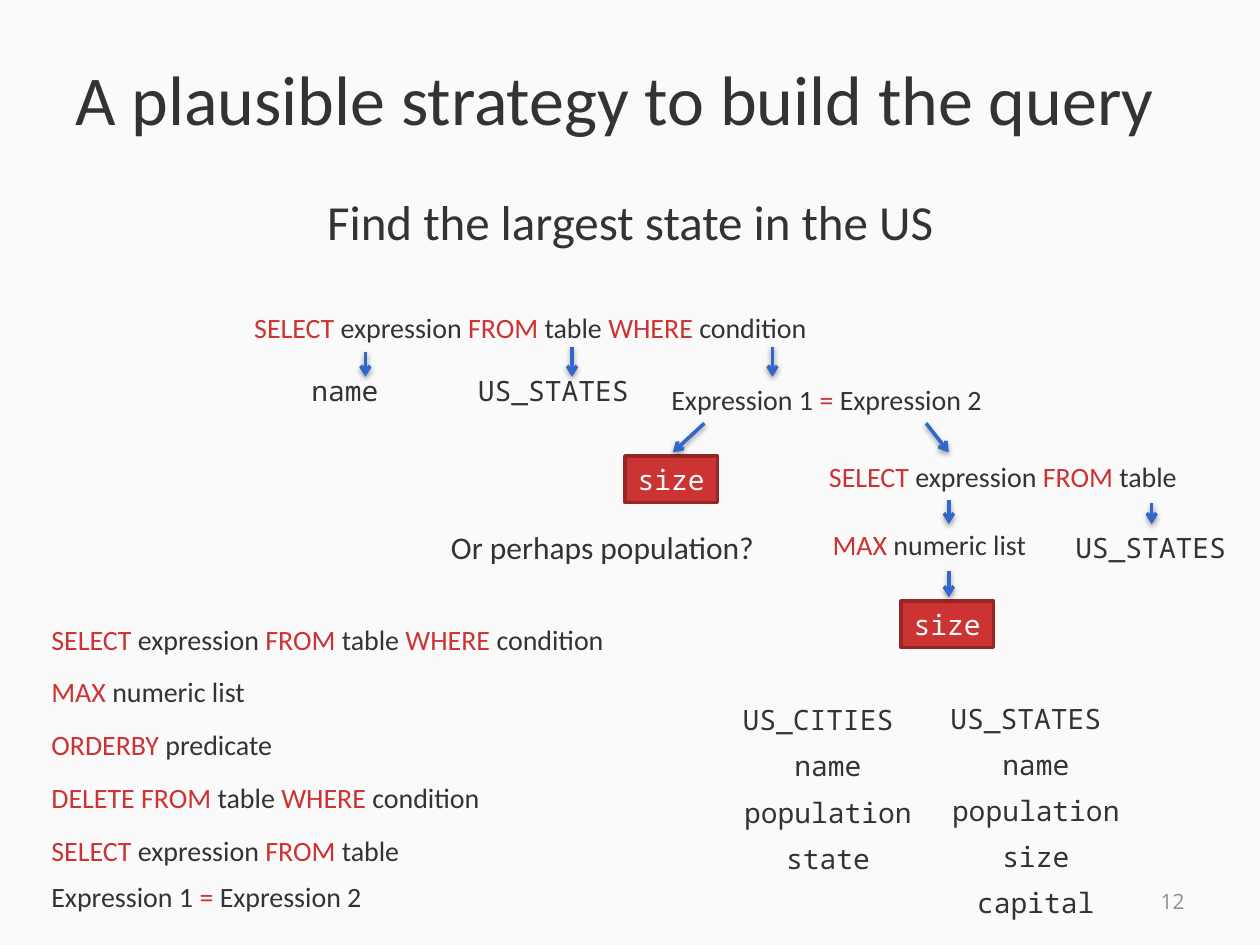
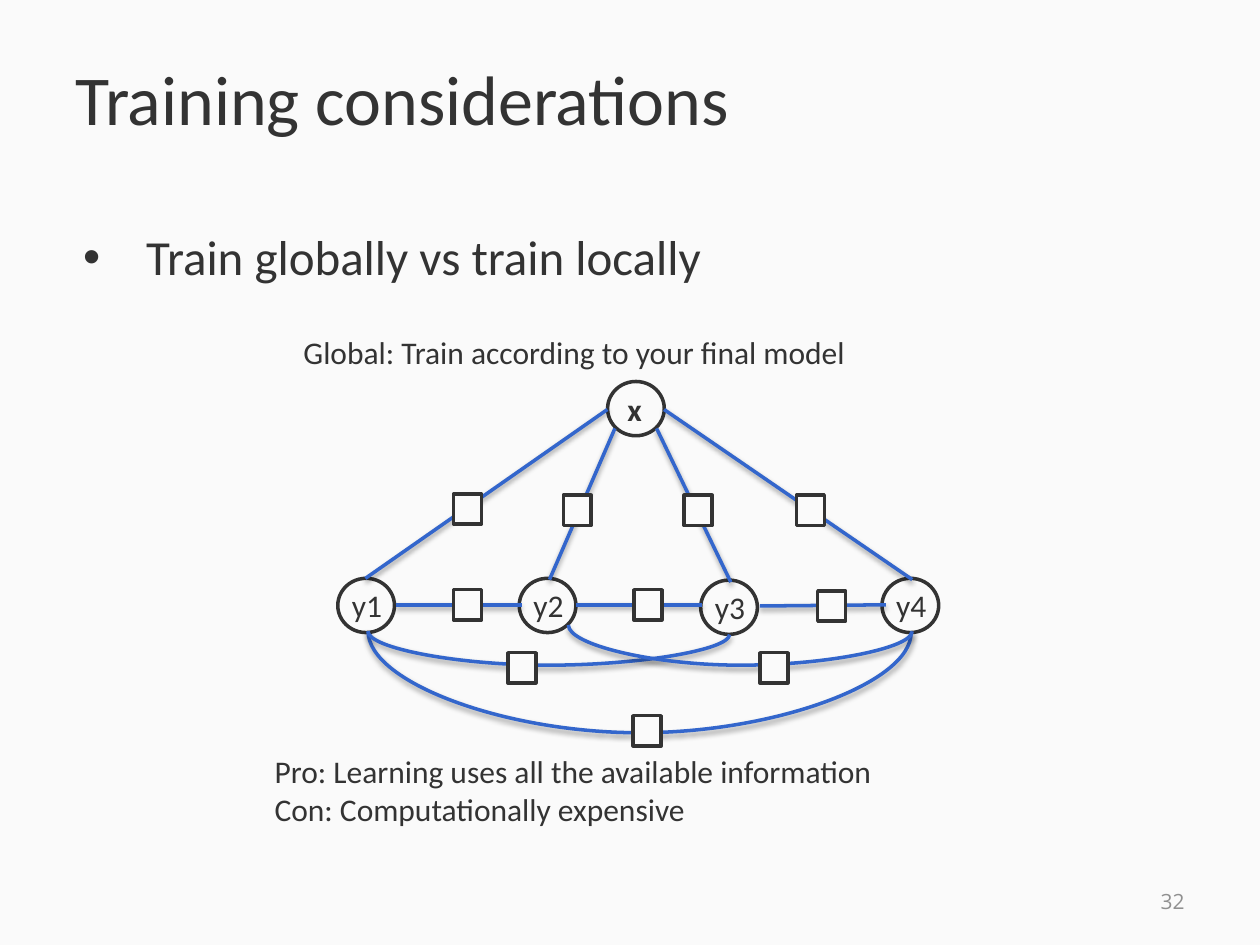
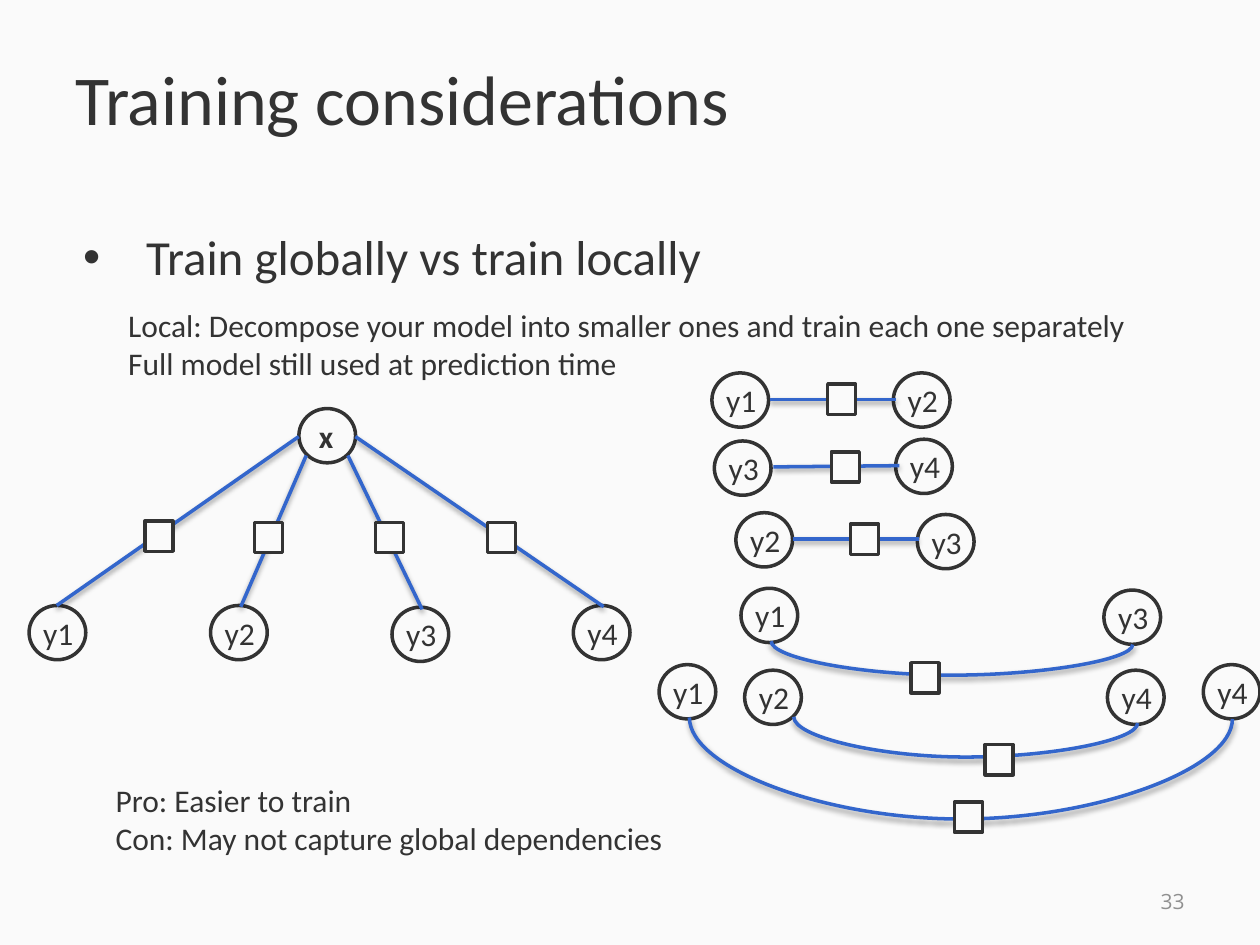
from lxml import etree
from pptx import Presentation
from pptx.dml.color import RGBColor
from pptx.enum.shapes import MSO_CONNECTOR as Connector, MSO_SHAPE as Shape
from pptx.enum.text import MSO_ANCHOR as Anchor, MSO_AUTO_SIZE as AutoSize, PP_ALIGN as Align
from pptx.oxml.ns import qn
from pptx.util import Pt

PAPER = RGBColor(0xFA, 0xFA, 0xFA)
INK = RGBColor(0x33, 0x33, 0x33)
RED = RGBColor(0xCC, 0x33, 0x33)
DARK_RED = RGBColor(0x97, 0x26, 0x26)
BLUE = RGBColor(0x33, 0x66, 0xCC)
GREY = RGBColor(0x90, 0x90, 0x90)

SANS = "Calibri"
MONO = "Noto Sans Mono"
FOOTER_FONT = "Open Sans"

SELECT_WHERE = ("SELECT", " expression ", "FROM ", "table ", "WHERE ", "condition")
SELECT_FROM = ("SELECT", " expression ", "FROM ", "table")
MAX_LIST = ("MAX ", "numeric list")
ORDER_BY = ("ORDERBY ", "predicate")
DELETE_FROM = ("DELETE FROM ", "table", " WHERE ", "condition")
EQUALITY = ("Expression 1 ", "= ", "Expression 2")

# Offsets within the model, measured from the top left of node y1.
NODES = {
    "y1": (0, 0),
    "y2": (103.7, 0),
    "y3": (207.4, 1),
    "y4": (311, 0),
    "x": (154.2, -112.5),
}
# Pair of nodes: edge start, edge end, factor square, sag of the curve (0 = straight).
FACTORS = {
    ("y1", "y2"): ((33.1, 15.3), (105.1, 15.3), (66.2, 6.5), 0),
    ("y2", "x"): ((121, 0.7), (158.4, -85.7), (128.9, -47.5), 0),
    ("y3", "x"): ((224.6, 2.2), (182.2, -85.7), (198, -47.5), 0),
    ("y4", "x"): ((328.3, 0.7), (186.5, -96.5), (262.1, -47.5), 0),
    ("y2", "y3"): ((136.1, 15.1), (208.1, 15.1), (169.2, 6.5), 0),
    ("y3", "y4"): ((241.2, 15.8), (313.2, 15.1), (274.3, 7.2), 0),
    ("y1", "x"): ((15.8, 0), (154.1, -96.5), (66.2, -48.2), 0),
    ("y1", "y4"): ((17.3, 30.2), (327.6, 31.05), (168.8, 78.5), 58),
    ("y1", "y3"): ((17.3, 30.2), (223.9, 32.1), (97.2, 42.5), 19.4),
    ("y2", "y4"): ((131.8, 26.6), (328.3, 30.2), (241.2, 42.5), 23),
}


def add_run(paragraph, text, size, color=INK, font=SANS, bold=False):
    run = paragraph.add_run()
    run.text = text
    run.font.size = Pt(size)
    run.font.name = font
    run.font.color.rgb = color
    run.font.bold = bold


def add_frame(slide, left, top, width, height, wrap=False):
    box = slide.shapes.add_textbox(Pt(left), Pt(top), Pt(width), Pt(height))
    box.text_frame.word_wrap = wrap
    box.text_frame.auto_size = AutoSize.NONE if wrap else AutoSize.SHAPE_TO_FIT_TEXT
    return box.text_frame


def add_note(slide, left, top, width, *lines, bold=False):
    frame = add_frame(slide, left, top, width, 7.2 + 21.9 * len(lines))
    for index, line in enumerate(lines):
        paragraph = frame.add_paragraph() if index else frame.paragraphs[0]
        add_run(paragraph, line, 18, bold=bold)


def add_phrase(slide, left, top, width, runs):
    """Query template: capitals and the equals sign are keywords, in red."""
    paragraph = add_frame(slide, left, top, width, 26.6).paragraphs[0]
    for text in runs:
        is_keyword = text.isupper() or text.strip() == "="
        add_run(paragraph, text, 16, RED if is_keyword else INK)


def mono_width(text):
    return 9.63 * len(text) + 14.4


def add_identifier(slide, left, top, text):
    paragraph = add_frame(slide, left, top, mono_width(text), 26.6).paragraphs[0]
    paragraph.alignment = Align.CENTER
    add_run(paragraph, text, 16, font=MONO)


def add_schema(slide, left, top, table, fields):
    add_identifier(slide, left, top, table)
    for row, field in enumerate(fields, 1):
        center = left + 56.2
        add_identifier(slide, center - mono_width(field) / 2, top + 26.3 * row, field)


def add_outlined(slide, kind, left, top, width, height, fill=PAPER, outline=INK):
    shape = slide.shapes.add_shape(kind, Pt(left), Pt(top), Pt(width), Pt(height))
    shape.shadow.inherit = False
    shape.fill.solid()
    shape.fill.fore_color.rgb = fill
    shape.line.color.rgb = outline
    shape.line.width = Pt(2)
    return shape


def add_choice(slide, left, top, text):
    choice = add_outlined(slide, Shape.RECTANGLE, left, top, mono_width(text), 26.6, RED, DARK_RED)
    frame = choice.text_frame
    frame.word_wrap = False
    frame.auto_size = AutoSize.SHAPE_TO_FIT_TEXT
    frame.vertical_anchor = Anchor.TOP
    frame.paragraphs[0].alignment = Align.CENTER
    add_run(frame.paragraphs[0], text, 16, PAPER, MONO)


def style_edge(edge):
    """Blue line with a soft shadow straight below."""
    edge.line.color.rgb = BLUE
    edge.line.width = Pt(2)
    effects = etree.SubElement(edge._element.spPr, qn("a:effectLst"))
    shadow = etree.SubElement(effects, qn("a:outerShdw"), blurRad="40000", dist="20000",
                              dir="5400000", rotWithShape="0")
    black = etree.SubElement(shadow, qn("a:srgbClr"), val="000000")
    etree.SubElement(black, qn("a:alpha"), val="38000")


def add_edge(slide, start, end):
    edge = slide.shapes.add_connector(Connector.STRAIGHT, *(Pt(v) for v in (*start, *end)))
    style_edge(edge)
    return edge


def add_arrow(slide, start, end):
    arrow = add_edge(slide, start, end)
    etree.SubElement(arrow._element.spPr.find(qn("a:ln")), qn("a:tailEnd"), type="arrow")


def add_sagging_edge(slide, start, end, sag):
    """Curve hanging below both ends: an S connector turned by 270 degrees."""
    span, drop = end[0] - start[0], end[1] - start[1]
    center_x, center_y = (start[0] + end[0]) / 2, (start[1] + end[1]) / 2
    edge = slide.shapes.add_connector(
        Connector.CURVE,
        Pt(center_x - drop / 2), Pt(center_y - span / 2),
        Pt(center_x + drop / 2), Pt(center_y + span / 2))
    properties = edge._element.spPr
    frame = properties.find(qn("a:xfrm"))
    frame.set("rot", "16200000")
    frame.set("flipH", "1")
    geometry = properties.find(qn("a:prstGeom"))
    guides = geometry.find(qn("a:avLst"))
    if guides is None:
        guides = etree.SubElement(geometry, qn("a:avLst"))
    etree.SubElement(guides, qn("a:gd"), name="adj1", fmla=f"val {round(sag / drop * 100000)}")
    style_edge(edge)


def add_node(slide, origin, name):
    left, top = shift(origin, NODES[name])
    add_outlined(slide, Shape.OVAL, left, top, 32.4, 31)
    is_input = name == "x"
    inset, width = (4.3, 23.8) if is_input else (1, 32)
    add_note(slide, left + inset, top + 1.1, width, name, bold=is_input)


def shift(origin, offset):
    return origin[0] + offset[0], origin[1] + offset[1]


def add_model(slide, origin, nodes, pairs):
    """Factor graph of the given nodes and pairs; origin is the place of y1."""
    for name in nodes:
        add_node(slide, origin, name)
    for pair in pairs:
        start, end, square, sag = FACTORS[pair]
        start, end = shift(origin, start), shift(origin, end)
        if sag:
            add_sagging_edge(slide, start, end, sag)
        else:
            add_edge(slide, start, end)
        add_outlined(slide, Shape.RECTANGLE, *shift(origin, square), 16, 17.3)


def add_page(deck, title, number):
    slide = deck.slides.add_slide(deck.slide_layouts[6])
    slide.background.fill.solid()
    slide.background.fill.fore_color.rgb = PAPER
    heading = add_frame(slide, 36, 10.8, 648, 90, wrap=True)
    heading.vertical_anchor = Anchor.MIDDLE
    add_run(heading.paragraphs[0], title, 40)
    footer = add_frame(slide, 516, 500.5, 168, 28.8, wrap=True)
    footer.vertical_anchor = Anchor.MIDDLE
    footer.paragraphs[0].alignment = Align.RIGHT
    add_run(footer.paragraphs[0], str(number), 12, GREY, FOOTER_FONT)
    return slide


def add_lead(slide, top, height, text):
    paragraph = add_frame(slide, 36, top, 648, height, wrap=True).paragraphs[0]
    paragraph.space_before = Pt(5.6)
    add_run(paragraph, text, 28)
    return paragraph


def add_training_page(deck, number):
    slide = add_page(deck, "Training considerations", number)
    paragraph = add_lead(slide, 126, 356.4, "Train globally vs train locally")
    properties = paragraph._p.get_or_add_pPr()
    properties.set("marL", str(Pt(40.5)))
    properties.set("indent", str(Pt(-36)))
    etree.SubElement(properties, qn("a:buFont"), typeface="Arial")
    etree.SubElement(properties, qn("a:buChar"), char="•")
    return slide


def build_query_page(deck):
    slide = add_page(deck, "A plausible strategy to build the query", 12)
    add_lead(slide, 105.8, 41, "Find the largest state in the US").alignment = Align.CENTER

    add_phrase(slide, 138.2, 174.2, 334.8, SELECT_WHERE)
    add_identifier(slide, 170.6, 210.2, "name")
    add_identifier(slide, 265.7, 210.2, "US_STATES")
    add_phrase(slide, 376.6, 215.3, 194.4, EQUALITY)
    add_choice(slide, 357.1, 260.6, "size")
    add_phrase(slide, 466.6, 259.2, 216.7, SELECT_FROM)
    add_phrase(slide, 468.7, 298.1, 126.7, MAX_LIST)
    add_identifier(slide, 607, 299.5, "US_STATES")
    add_choice(slide, 514.8, 343.4, "size")
    add_note(slide, 250.6, 298.1, 190, "Or perhaps population?")

    for start, end in (
        ((208.8, 200.9), (208.8, 215.3)),
        ((326.9, 198), (326.9, 215.3)),
        ((441.4, 198), (441.4, 215.3)),
        ((402.5, 241.9), (384.5, 258.5)),
        ((529.2, 241.9), (542.2, 258.5)),
        ((542.2, 285.8), (542.2, 299.5)),
        ((658.1, 287.3), (658.1, 299.5)),
        ((542.2, 326.2), (542.2, 341.3)),
    ):
        add_arrow(slide, start, end)

    templates = ((SELECT_WHERE, 334.8), (MAX_LIST, 126.7), (ORDER_BY, 143.3),
                 (DELETE_FROM, 262.8), (SELECT_FROM, 216.7))
    for row, (template, width) in enumerate(templates):
        add_phrase(slide, 22.3, 352.1 + 30.1 * row, width, template)
    add_phrase(slide, 22.3, 499, 194.4, EQUALITY)

    add_schema(slide, 416.9, 398.2, "US_CITIES", ("name", "population", "state"))
    add_schema(slide, 535.7, 397.4, "US_STATES", ("name", "population", "size", "capital"))


def build_global_page(deck):
    slide = add_training_page(deck, 32)
    add_model(slide, (193, 330.5), NODES, FACTORS)
    add_note(slide, 166.3, 186.5, 329.8, "Global: Train according to your final model")
    add_note(slide, 149.8, 426.2, 360.7,
             "Pro: Learning uses all the available information",
             "Con: Computationally expensive")


def build_local_page(deck):
    slide = add_training_page(deck, 33)
    add_note(slide, 66.2, 171.4, 591.8,
             "Local: Decompose your model into smaller ones and train each one separately",
             "Full model still used at prediction time")
    add_model(slide, (16.6, 346), NODES, [pair for pair in FACTORS if "x" in pair])
    for pair, left, top in (
        (("y1", "y2"), 406.8, 213.1),
        (("y2", "y3"), 420.5, 293),
        (("y1", "y4"), 376.6, 379.8),
        (("y3", "y4"), 408.2, 252),
        (("y2", "y4"), 425.5, 383),
        (("y1", "y3"), 423.4, 336.2),
    ):
        first_x, first_y = NODES[pair[0]]
        add_model(slide, (left - first_x, top - first_y), pair, [pair])
    add_note(slide, 59, 442.8, 331.2,
             "Pro: Easier to train",
             "Con: May not capture global dependencies")


def main():
    deck = Presentation()
    deck.slide_width, deck.slide_height = Pt(720), Pt(540)
    build_query_page(deck)
    build_global_page(deck)
    build_local_page(deck)
    deck.save("out.pptx")


if __name__ == "__main__":
    main()
